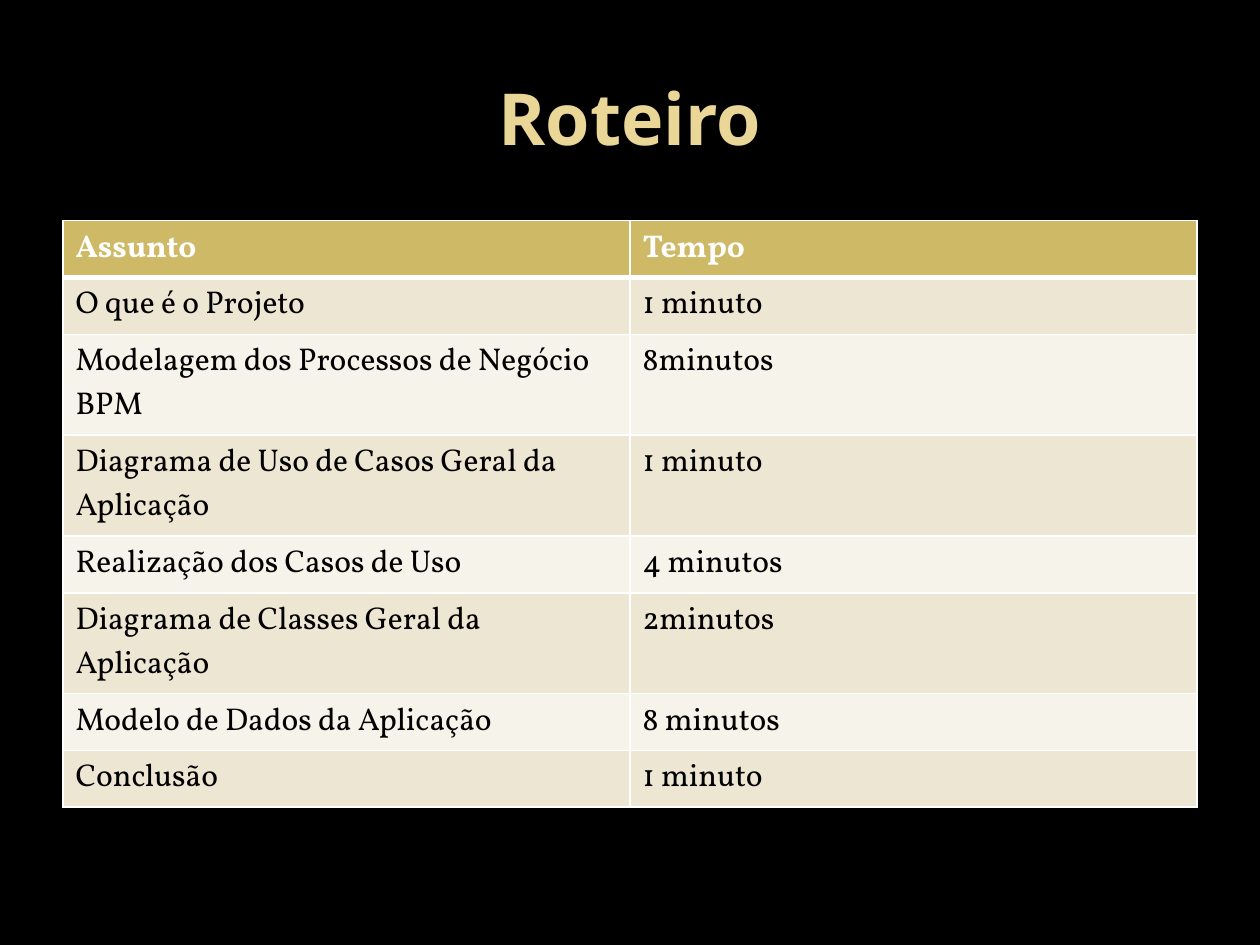
from lxml.etree import SubElement
from pptx import Presentation
from pptx.dml.color import RGBColor
from pptx.enum.text import MSO_ANCHOR as Anchor, PP_ALIGN as Align
from pptx.oxml.ns import qn
from pptx.util import Cm, Pt

ROWS = [
    ("Assunto", "Tempo"),
    ("O que é o Projeto", "1 minuto"),
    ("Modelagem dos Processos de Negócio BPM", "8minutos"),
    ("Diagrama de Uso de Casos Geral da Aplicação", "1 minuto"),
    ("Realização dos Casos de Uso", "4 minutos"),
    ("Diagrama de Classes Geral da Aplicação", "2minutos"),
    ("Modelo de Dados da Aplicação", "8 minutos"),
    ("Conclusão", "1 minuto"),
]
HEADER_FILL = "CEB966"
BAND_FILLS = ("F6F3EA", "EDE6D3")
LINE_CHARS = 35
LINE_HEIGHT = Cm(0.89)
CELL_MARGIN = Cm(0.127)


def rgb(value):
    """Turn a hex string into a colour."""
    return RGBColor.from_string(value)


def add_run(p, text, font, size, color, bold=False):
    """Add a formatted run to a paragraph."""
    r = p.add_run()
    r.text = text
    r.font.name = font
    r.font.size = Pt(size)
    r.font.bold = bold
    r.font.color.rgb = rgb(color)


def set_borders(cell, color, **widths):
    """Draw the cell's sides, given as L, R, T and B widths in points."""
    tc_pr = cell._tc.get_or_add_tcPr()
    for side, width in widths.items():
        ln = SubElement(tc_pr, qn(f"a:ln{side}"), w=str(Pt(width)))
        fill = SubElement(ln, qn("a:solidFill"))
        SubElement(fill, qn("a:srgbClr"), val=color)


def row_height(row):
    """Return the height that the row's longest text needs."""
    lines = 1 + max(map(len, row)) // LINE_CHARS
    return lines * LINE_HEIGHT + 2 * CELL_MARGIN


def add_title(s, text, x, y, w, h):
    """Place the centred slide title in the given box."""
    tf = s.shapes.add_textbox(x, y, w, h).text_frame
    tf.word_wrap = True
    tf.vertical_anchor = Anchor.MIDDLE
    p = tf.paragraphs[0]
    p.alignment = Align.CENTER
    add_run(p, text, "Noto Sans", 41, "EAD696", True)


def add_schedule(s, rows, x, y, w):
    """Place the banded schedule table below the given corner."""
    heights = [row_height(row) for row in rows]
    table = s.shapes.add_table(len(rows), len(rows[0]), x, y, w, sum(heights)).table
    for i, row in enumerate(rows):
        header = i == 0
        table.rows[i].height = heights[i]
        for j, text in enumerate(row):
            cell = table.cell(i, j)
            cell.margin_top = cell.margin_bottom = CELL_MARGIN
            set_borders(cell, "FFFFFF", L=1, R=1,
                        T=3 if i == 1 else 1, B=3 if header else 1)
            cell.fill.solid()
            cell.fill.fore_color.rgb = rgb(HEADER_FILL if header else BAND_FILLS[i % 2])
            add_run(cell.text_frame.paragraphs[0], text, "Vollkorn", 18,
                    "FFFFFF" if header else "000000", header)


def main():
    """Build and save the slide."""
    prs = Presentation()
    prs.slide_width, prs.slide_height = Cm(25.4), Cm(19.05)
    s = prs.slides.add_slide(prs.slide_layouts[6])
    s.background.fill.solid()
    s.background.fill.fore_color.rgb = rgb("000000")
    margin = Cm(1.27)
    width = prs.slide_width - 2 * margin
    add_title(s, "Roteiro", margin, Cm(0.76), width, Cm(3.18))
    add_schedule(s, ROWS, margin, Cm(4.45), width)
    prs.save("out.pptx")


if __name__ == "__main__":
    main()
